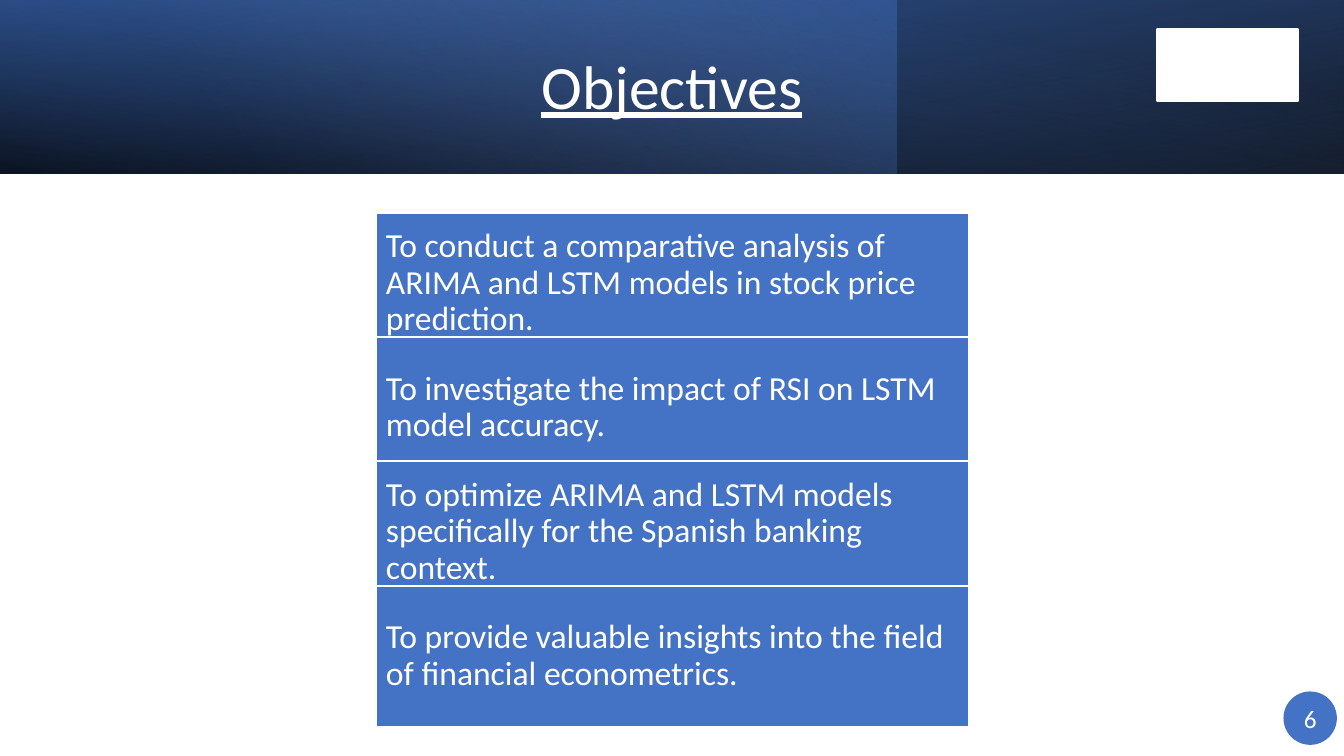
from dataclasses import dataclass
from lxml.etree import SubElement as Sub
from pptx import Presentation
from pptx.dml.color import RGBColor as RGB
from pptx.enum.shapes import MSO_SHAPE as Kind
from pptx.enum.text import MSO_ANCHOR as Anchor, MSO_AUTO_SIZE as Auto, PP_ALIGN as Align
from pptx.oxml.ns import qn
from pptx.util import Inches, Pt

TITLE = "Objectives"
GOALS = [
    "To conduct a comparative analysis of ARIMA and LSTM models in stock price prediction.",
    "To investigate the impact of RSI on LSTM model accuracy.",
    "To optimize ARIMA and LSTM models specifically for the Spanish banking context.",
    "To provide valuable insights into the field of financial econometrics.",
]
PAGE = "6"


@dataclass(frozen=True)
class Theme:
    font: str = "Calibri"
    white: str = "FFFFFF"
    blue: str = "4472C4"
    navy: str = "2F5597"
    pale: str = "8FAADC"
    black: str = "000000"
    head: int = 44
    body: int = 24
    small: int = 18


T = Theme()
WIDE, HIGH, BAND = 13.33, 7.5, 1.72
BANDS = [
    (WIDE, 180, True, 100, [(0, T.black, 96), (100, T.navy, 100)]),
    (8.89, 0, False, 140, [(0, T.blue, 41), (74, T.pale, 0)]),
    (WIDE, 0, True, 260, [(0, T.black, 63), (78, T.blue, 15)]),
]
LEFT, TOP, STEP = 3.73, 2.11, 1.2333
ROW = (5.88, 1.4)


def place(shape, *box):
    shape.left, shape.top, shape.width, shape.height = map(Inches, box)


def draw(slide, kind, box, fill=None, line=None):
    shape = slide.shapes.add_shape(kind, *map(Inches, box))
    shape.shadow.inherit = False
    if fill:
        shape.fill.solid()
        shape.fill.fore_color.rgb = RGB.from_string(fill)
    if line:
        shape.line.color.rgb = RGB.from_string(line)
        shape.line.width = Pt(1.5)
    else:
        shape.line.fill.background()
    return shape


def write(shape, text, size, align=Align.LEFT, space=None, lead=None):
    frame = shape.text_frame
    frame.text = text
    frame.word_wrap = True
    frame.auto_size = Auto.NONE
    frame.vertical_anchor = Anchor.MIDDLE
    para = frame.paragraphs[0]
    para.alignment = align
    para.space_after = space
    para.line_spacing = lead
    font = para.font
    font.name, font.size = T.font, Pt(size)
    font.color.rgb = RGB.from_string(T.white)
    return frame


def blend(shape, angle, stops):
    shape.fill.gradient()
    grad = shape._element.spPr.find(qn("a:gradFill"))
    for part in list(grad):
        grad.remove(part)
    grad.set("rotWithShape", "1")
    group = Sub(grad, qn("a:gsLst"))
    for pos, color, alpha in stops:
        stop = Sub(group, qn("a:gs"), pos=str(pos * 1000))
        tint = Sub(stop, qn("a:srgbClr"), val=color)
        Sub(tint, qn("a:alpha"), val=str(alpha * 1000))
    Sub(grad, qn("a:lin"), ang=str(angle * 60000), scaled="0")


def main():
    deck = Presentation()
    deck.slide_width, deck.slide_height = Inches(WIDE), Inches(HIGH)
    slide = deck.slides.add_slide(deck.slide_layouts[5])

    for width, turn, flip, angle, stops in BANDS:
        band = draw(slide, Kind.RECTANGLE, (0, 0, width, BAND))
        band.rotation = turn
        if flip:
            band._element.spPr.xfrm.set("flipH", "1")
        blend(band, angle, stops)

    title = slide.shapes.title
    slide.shapes._spTree.append(title._element)
    place(title, 5.27, 0.25, 2.8, 1.27)
    frame = write(title, TITLE, T.head, space=Pt(6), lead=0.9)
    frame.paragraphs[0].font.underline = True

    for i, goal in enumerate(GOALS):
        row = draw(slide, Kind.RECTANGLE, (LEFT, TOP + i * STEP, *ROW), T.blue, T.white)
        frame = write(row, goal, T.body, space=Pt(6), lead=0.9)
        frame.margin_left = frame.margin_right = Inches(0.1)
        frame.margin_top = frame.margin_bottom = Inches(0.1)

    draw(slide, Kind.RECTANGLE, (11.48, 0.29, 1.39, 0.71), T.white, T.white)
    badge = draw(slide, Kind.OVAL, (12.73, 6.86, 0.53, 0.53), T.blue)
    write(badge, PAGE, T.small, Align.CENTER)

    deck.save("out.pptx")


if __name__ == "__main__":
    main()
